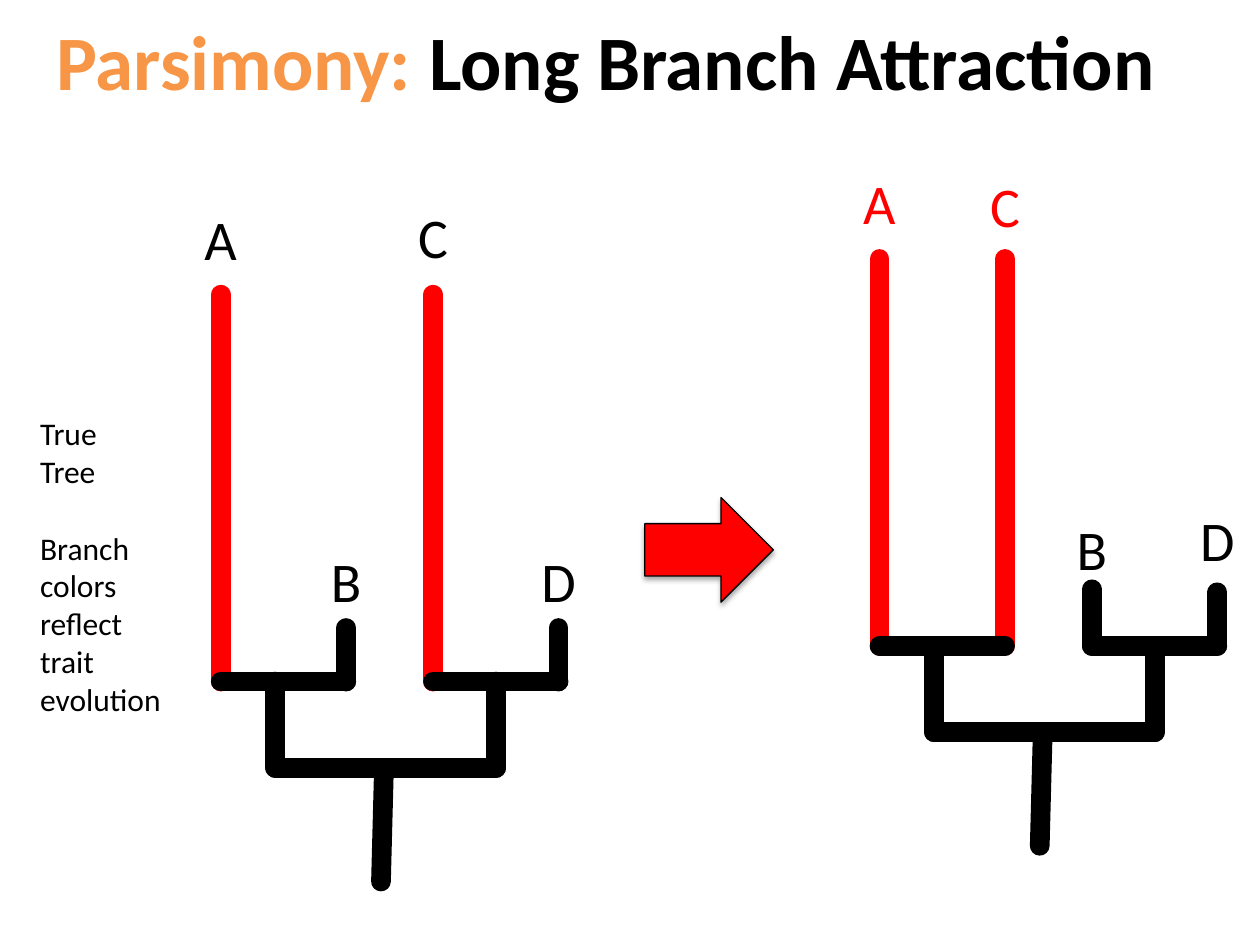
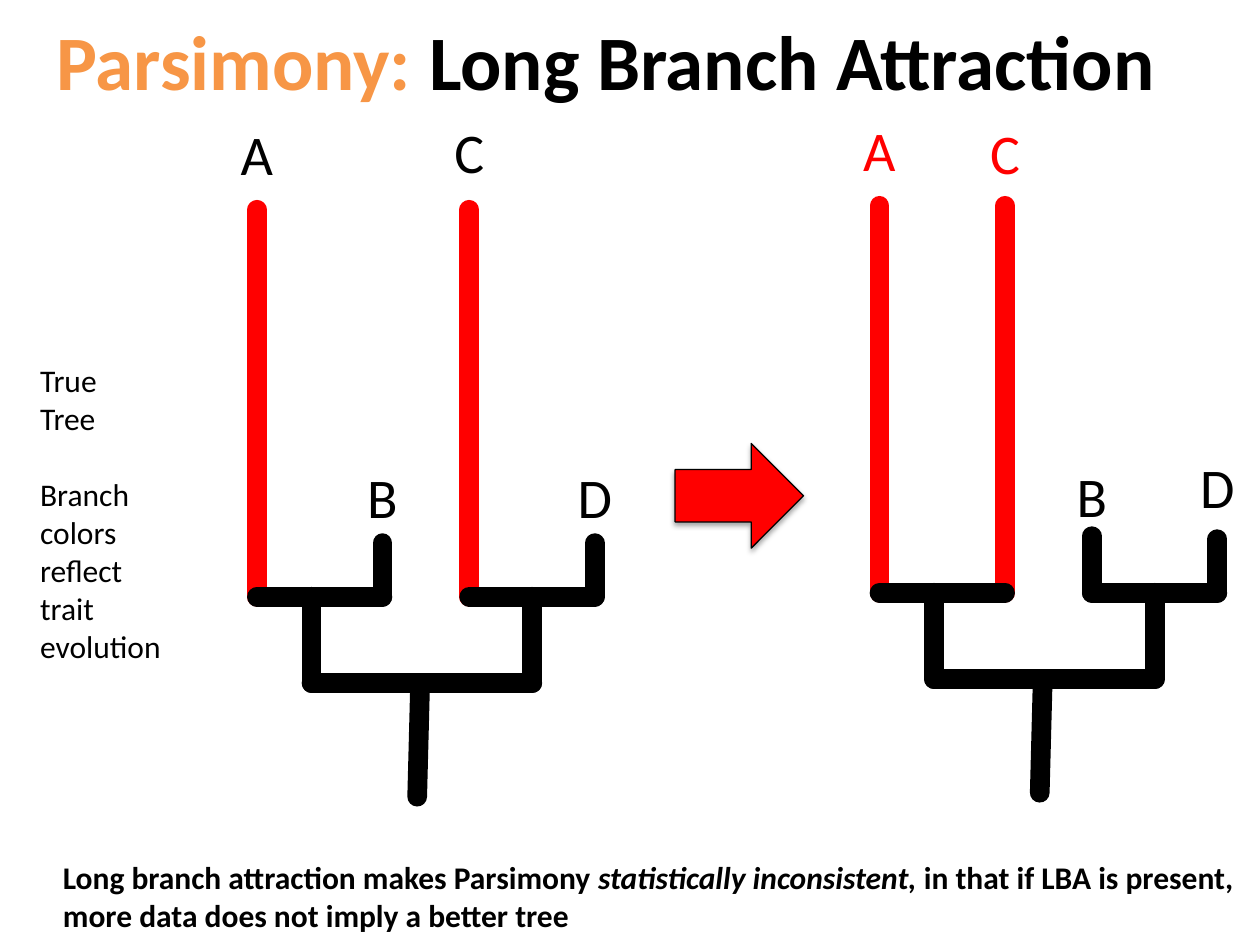
"""Build two slides on long branch attraction in parsimony trees."""
from lxml import etree
from pptx import Presentation
from pptx.dml.color import RGBColor
from pptx.enum.shapes import MSO_CONNECTOR, MSO_SHAPE
from pptx.enum.text import MSO_ANCHOR, PP_ALIGN
from pptx.oxml.ns import qn
from pptx.util import Cm, Pt

LINE = MSO_CONNECTOR.STRAIGHT
ARROW = MSO_SHAPE.RIGHT_ARROW
MIDDLE = MSO_ANCHOR.MIDDLE
CENTER = PP_ALIGN.CENTER
INK = {"black": "000000", "red": "FF0000", "orange": "F79646"}

TALL, SHORT, DROP = 7.8, 1.08, 1.74
TIPS = [0, 2.53, 4.28, 6.81]
STEMS = [1.1, 5.55]
ROOT = [3.29, 3.23, 4.03]
TRUE = [("A", TALL, 9.75, "black"), ("B", SHORT, 2.84, "black"),
        ("C", TALL, 9.78, "black"), ("D", SHORT, 2.84, "black")]
WRONG = [("A", TALL, 9.75, "red"), ("C", TALL, 9.68, "red"),
         ("B", 1.14, 2.77, "black"), ("D", SHORT, 2.95, "black")]
NOTE = ["True", "Tree", "Branch", "colors", "reflect", "trait", "evolution"]
CLAIM = [
    [("Long branch attraction makes Parsimony ", False),
     ("statistically inconsistent,", True),
     (" in that if LBA is present,", False)],
    [("more data does not imply a better tree", False)],
]
PAGES = [
    {"trees": [(4.45, 13.74, TRUE), (17.73, 13.02, WRONG)],
     "arrow": (13, 10.03), "note": 8.23, "claim": []},
    {"trees": [(5.18, 12.03, TRUE), (17.73, 11.95, WRONG)],
     "arrow": (13.61, 8.94), "note": 7.16, "claim": CLAIM},
]


def write(para, text, size=18, ink="black", bold=False, slant=False):
    run = para.add_run()
    run.text = text
    font = run.font
    font.name, font.size = "Calibri", Pt(size)
    font.bold, font.italic = bold, slant
    font.color.rgb = RGBColor.from_string(INK[ink])


def branch(slide, x1, y1, x2, y2, ink="black"):
    bar = slide.shapes.add_connector(LINE, Cm(x1), Cm(y1), Cm(x2), Cm(y2))
    bar.line.width = Pt(11.25)
    bar.line.color.rgb = RGBColor.from_string(INK[ink])
    bar.get_or_add_ln().set("cap", "rnd")
    etree.SubElement(bar._element.spPr, qn("a:effectLst"))


deck = Presentation()
deck.slide_width, deck.slide_height = Cm(25.4), Cm(19.05)

for page in PAGES:
    slide = deck.slides.add_slide(deck.slide_layouts[5])
    title = slide.shapes.title
    title.left, title.top = Cm(0.2), Cm(-0.84)
    title.width, title.height = Cm(24.03), Cm(4.09)
    title.text_frame.vertical_anchor = MIDDLE
    para = title.text_frame.paragraphs[0]
    para.alignment = CENTER
    write(para, "Parsimony: ", size=44, ink="orange", bold=True)
    write(para, "Long Branch Attraction", size=44, bold=True)

    for left, base, tips in page["trees"]:
        for shift, (name, height, rise, ink) in zip(TIPS, tips):
            x = left + shift
            tint = "red" if height == TALL else "black"
            branch(slide, x, base - height, x, base, tint)
            box = slide.shapes.add_textbox(
                Cm(x - 0.6), Cm(base - rise), Cm(1.2), Cm(1.62))
            box.text_frame.word_wrap = False
            para = box.text_frame.paragraphs[0]
            para.alignment = CENTER
            write(para, name, size=32, ink=ink)
        fork = base + DROP
        for start, end in (TIPS[:2], TIPS[2:]):
            branch(slide, left + start, base, left + end, base)
        for stem in STEMS:
            branch(slide, left + stem, base, left + stem, fork)
        branch(slide, left + STEMS[0], fork, left + STEMS[1], fork)
        branch(slide, left + ROOT[0], fork, left + ROOT[1], base + ROOT[2])

    x, y = page["arrow"]
    arrow = slide.shapes.add_shape(ARROW, Cm(x), Cm(y), Cm(2.59), Cm(2.11))
    arrow.fill.solid()
    arrow.fill.fore_color.rgb = RGBColor.from_string(INK["red"])
    arrow.line.color.rgb = RGBColor.from_string(INK["black"])
    arrow.line.width = Pt(0.75)
    arrow.shadow.inherit = False
    glow = etree.SubElement(
        arrow._element.spPr.find(qn("a:effectLst")), qn("a:outerShdw"),
        blurRad="40000", dist="23000", dir="5400000", rotWithShape="0")
    tone = etree.SubElement(glow, qn("a:srgbClr"), val=INK["black"])
    etree.SubElement(tone, qn("a:alpha"), val="35000")

    box = slide.shapes.add_textbox(
        Cm(0.56), Cm(page["note"]), Cm(2.97), Cm(6.4))
    frame = box.text_frame
    frame.word_wrap = False
    for row, word in enumerate(NOTE):
        para = frame.add_paragraph() if row else frame.paragraphs[0]
        if word == "Branch":
            para.space_before = Pt(22)
        write(para, word)

    if page["claim"]:
        box = slide.shapes.add_textbox(
            Cm(1.02), Cm(17.17), Cm(24.49), Cm(1.8))
        frame = box.text_frame
        frame.word_wrap = False
        for row, parts in enumerate(page["claim"]):
            para = frame.add_paragraph() if row else frame.paragraphs[0]
            for text, slant in parts:
                write(para, text, bold=True, slant=slant)

deck.save("out.pptx")
